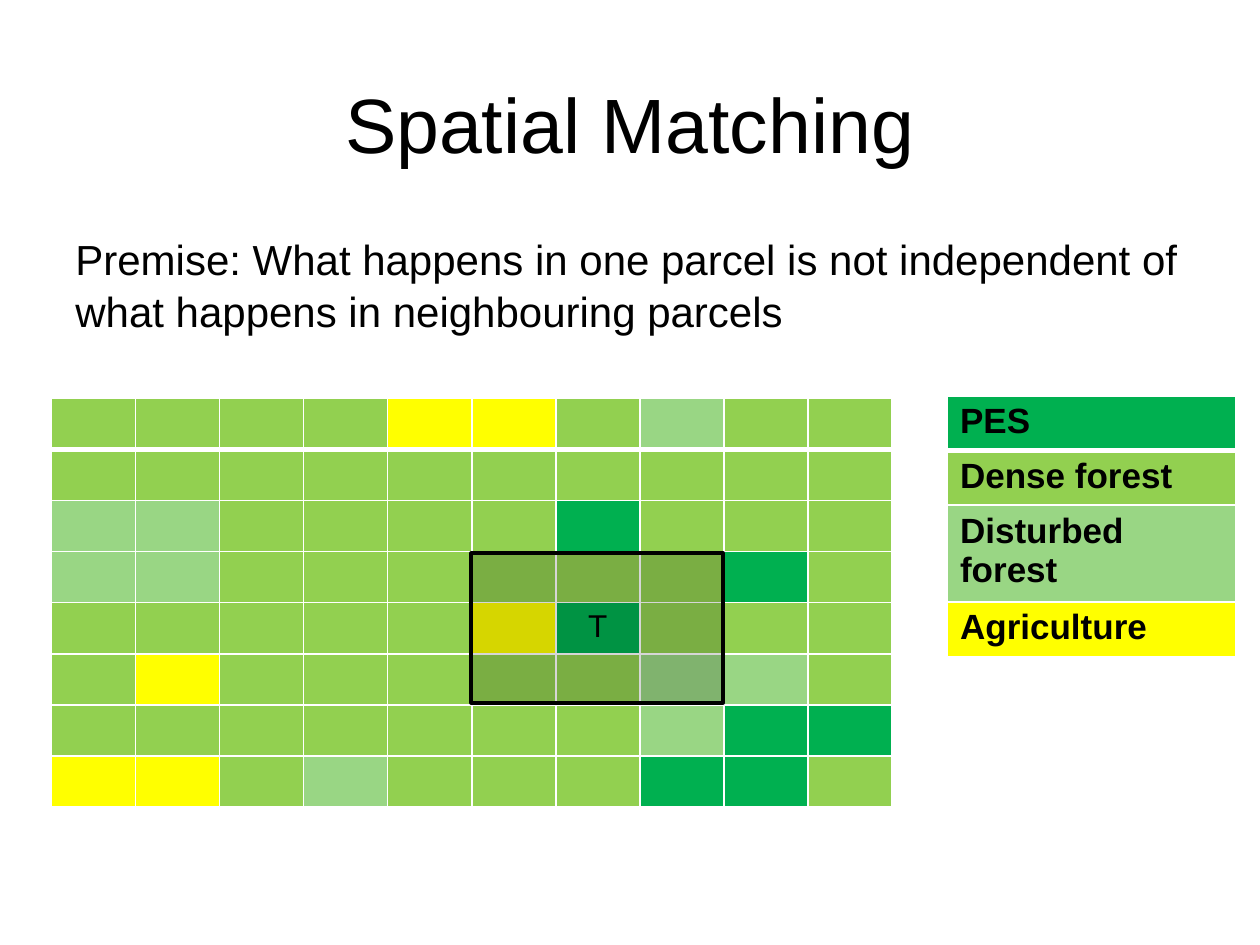
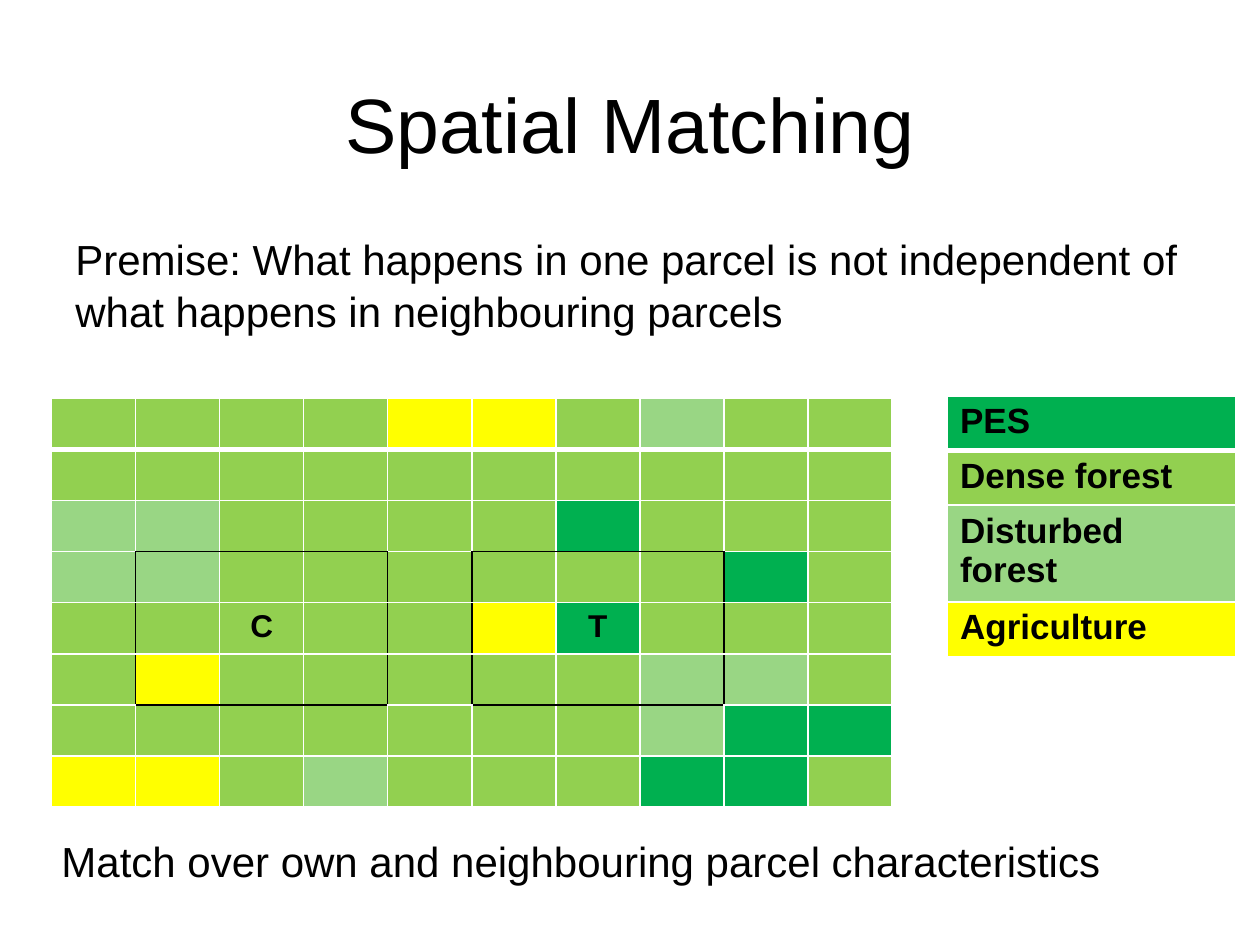
from lxml import etree
from pptx import Presentation
from pptx.dml.color import RGBColor
from pptx.enum import shapes, text
from pptx.oxml import ns
from pptx.util import Cm, Pt

BLACK, WHITE = "000000", "FFFFFF"
LAND = {"P": "00B050", "D": "92D050", "S": "99D684", "A": "FFFF00"}
PARCELS = [
    "DDDDAADSDD",
    "DDDDDDDDDD",
    "SSDDDDPDDD",
    "SSDDDDDDPD",
    "DDDDDAPDDD",
    "DADDDDDSSD",
    "DDDDDDDSPP",
    "AADSDDDPPD",
]
LEGEND = ["PES", "Dense forest", "Disturbed forest", "Agriculture"]
SIDES = [("lnL", 0, -1), ("lnR", 0, 1), ("lnT", -1, 0), ("lnB", 1, 0)]
PREMISE = ("Premise: What happens in one parcel is not independent of "
           "what happens in neighbouring parcels")
CLOSING = "Match over own and neighbouring parcel characteristics"


def rgb(code):
    return RGBColor.from_string(code)


def write(frame, content, size, bold=False, align=text.PP_ALIGN.LEFT):
    frame.text = content
    para = frame.paragraphs[0]
    para.alignment = align
    for span in para.runs:
        span.font.name = "Arial"
        span.font.size = Pt(size)
        span.font.bold = bold
        span.font.color.rgb = rgb(BLACK)


deck = Presentation()
deck.slide_width, deck.slide_height = Cm(25.4), Cm(19.05)

pages = [
    {"centres": {(4, 6): "T"}, "framed": False, "bold": False,
     "body_height": 12.57, "closing": []},
    {"centres": {(4, 2): "C", (4, 6): "T"}, "framed": True, "bold": True,
     "body_height": 2.59, "closing": [(CLOSING, 0.99, 16.59, 2.13)]},
]

for plan in pages:
    page = deck.slides.add_slide(deck.slide_layouts[6])

    title = page.shapes.add_textbox(Cm(1.27), Cm(0.76), Cm(22.86), Cm(3.18))
    title.text_frame.word_wrap = True
    title.text_frame.vertical_anchor = text.MSO_ANCHOR.MIDDLE
    title.text_frame.margin_top = Cm(0.37)
    write(title.text_frame, "Spatial Matching", 44, align=text.PP_ALIGN.CENTER)

    statements = [(PREMISE, 1.27, 4.45, plan["body_height"])] + plan["closing"]
    for content, left, top, height in statements:
        box = page.shapes.add_textbox(Cm(left), Cm(top), Cm(22.86), Cm(height))
        box.text_frame.word_wrap = True
        box.text_frame.margin_top = Cm(0.2)
        write(box.text_frame, content, 24)
        box.text_frame.paragraphs[0].line_spacing = 1.05

    neighbourhood = {}
    if plan["framed"]:
        for row, column in plan["centres"]:
            for down in (-1, 0, 1):
                for across in (-1, 0, 1):
                    neighbourhood[row + down, column + across] = (row, column)

    tables = [
        (PARCELS, plan["centres"], neighbourhood, 1.04, 8.03, 16.94,
         (18, plan["bold"], text.PP_ALIGN.CENTER)),
        (list(LAND), {(row, 0): name for row, name in enumerate(LEGEND)}, {},
         19.1, 7.98, 5.82, (20, True, text.PP_ALIGN.LEFT)),
    ]
    for codes, labels, owners, left, top, width, style in tables:
        table = page.shapes.add_table(
            len(codes), len(codes[0]), Cm(left), Cm(top),
            Cm(width), Cm(1.03 * len(codes))).table
        table.first_row = table.horz_banding = False
        for row, line in enumerate(codes):
            for column, code in enumerate(line):
                cell = table.cell(row, column)
                props = cell._tc.get_or_add_tcPr()
                for side, down, across in SIDES:
                    neighbour = owners.get((row + down, column + across))
                    on_frame = owners.get((row, column)) != neighbour
                    points = 3 if row == 0 and side == "lnB" else 1
                    edge = etree.SubElement(props, ns.qn("a:" + side), w=str(Pt(points)))
                    paint = etree.SubElement(edge, ns.qn("a:solidFill"))
                    etree.SubElement(paint, ns.qn("a:srgbClr"),
                                     val=BLACK if on_frame else WHITE)
                cell.fill.solid()
                cell.fill.fore_color.rgb = rgb(LAND[code])
                if (row, column) in labels:
                    write(cell.text_frame, labels[row, column], *style)

    if not plan["framed"]:
        window = page.shapes.add_shape(
            shapes.MSO_SHAPE.RECTANGLE, Cm(9.5), Cm(11.15), Cm(5.08), Cm(3.02))
        window.shadow.inherit = False
        window.fill.solid()
        window.fill.fore_color.rgb = rgb(BLACK)
        shade = window.fill._xPr.find(".//" + ns.qn("a:srgbClr"))
        etree.SubElement(shade, ns.qn("a:alpha"), val="16000")
        window.line.color.rgb = rgb(BLACK)
        window.line.width = Pt(2)

deck.save("out.pptx")
